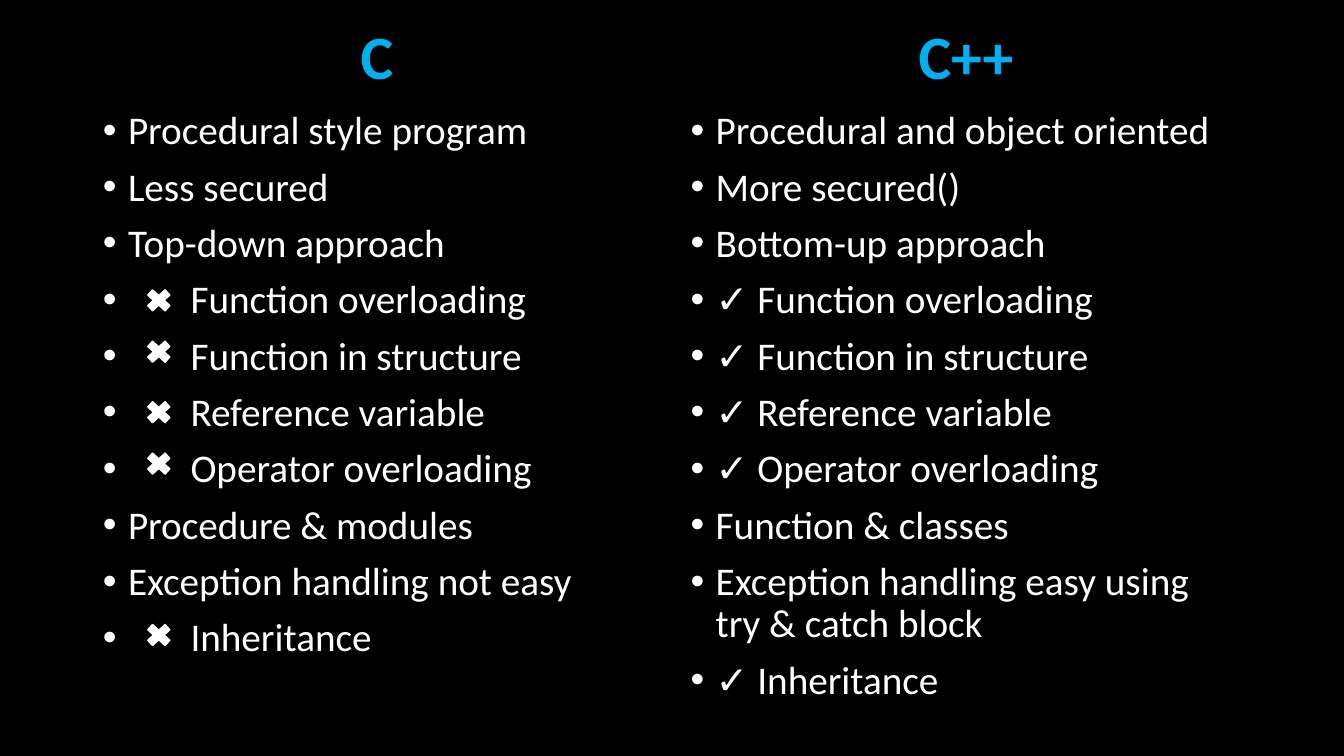
from pptx import Presentation
from pptx import util as u
from pptx.dml.color import RGBColor
from pptx.enum import shapes, text
from pptx.oxml import parse_xml
from pptx.oxml.ns import nsdecls

BLACK = RGBColor(0x00, 0x00, 0x00)
WHITE = RGBColor(0xFF, 0xFF, 0xFF)
BLUE = RGBColor(0x00, 0xB0, 0xF0)
FONT = "Calibri"

# Lengths are percentages of the slide's width or height
HEADING_TOP, HEADING_HEIGHT = 2.27, 10.67
LIST_TOP, LIST_HEIGHT = 14, 83.87
CROSS_OFFSET, CROSS_WIDTH, CROSS_HEIGHT = 3.68, 2.48, 4
BULLET_HANG = u.Inches(0.25)
CROSSED_HANG = u.Inches(0.87)  # leaves room for a cross before the words

C_POINTS = [
    "Procedural style program", "Less secured", "Top-down approach",
    "Function overloading", "Function in structure", "Reference variable",
    "Operator overloading", "Procedure & modules",
    "Exception handling not easy", "Inheritance",
]
# Missing features of C, with the top of each cross
C_CROSSES = {
    "Function overloading": 37.73, "Function in structure": 44.53,
    "Reference variable": 52.53, "Operator overloading": 59.33,
    "Inheritance": 82,
}
CPP_POINTS = [
    "Procedural and object oriented", "More secured()", "Bottom-up approach",
    "✓ Function overloading", "✓ Function in structure",
    "✓ Reference variable", "✓ Operator overloading", "Function & classes",
    "Exception handling easy using try & catch block", "✓ Inheritance",
]

deck = Presentation()
deck.slide_width, deck.slide_height = u.Inches(13.33), u.Inches(7.5)


def place(shape, left, top, width, height):
    shape.left = int(deck.slide_width * left / 100)
    shape.top = int(deck.slide_height * top / 100)
    shape.width = int(deck.slide_width * width / 100)
    shape.height = int(deck.slide_height * height / 100)


def write(shape, lines, size, color, bold, anchor, align):
    frame = shape.text_frame
    frame.text = "\n".join(lines)
    frame.word_wrap = True
    frame.auto_size = text.MSO_AUTO_SIZE.NONE
    frame.vertical_anchor = anchor
    for para in frame.paragraphs:
        para.alignment = align
        para.line_spacing = 0.9
        para.space_before = u.Pt(10)
        for span in para.runs:
            span.font.name, span.font.size = FONT, u.Pt(size)
            span.font.bold, span.font.color.rgb = bold, color
    return frame.paragraphs


def add_bullet(para, hang):
    props = para._p.get_or_add_pPr()
    props.set("marL", str(hang))
    props.set("indent", str(-hang))
    props.append(parse_xml(f'<a:buFont {nsdecls("a")} typeface="Arial"/>'))
    props.append(parse_xml(f'<a:buChar {nsdecls("a")} char="•"/>'))


def add_cross(page, left, top):
    cross = page.shapes.add_shape(shapes.MSO_SHAPE.MATH_MULTIPLY, 0, 0, 0, 0)
    place(cross, left, top, CROSS_WIDTH, CROSS_HEIGHT)
    cross.shadow.inherit = False
    cross.fill.solid()
    cross.fill.fore_color.rgb = WHITE
    cross.line.color.rgb = WHITE
    cross.line.width = u.Pt(1)


def fill_column(page, heading, body, left, width, name, points, crosses):
    # Language name
    place(heading, left, HEADING_TOP, width, HEADING_HEIGHT)
    write(heading, [name], 44, BLUE, True,
          text.MSO_ANCHOR.BOTTOM, text.PP_ALIGN.CENTER)

    # Bulleted points
    place(body, left, LIST_TOP, width, LIST_HEIGHT)
    paras = write(body, points, 28, WHITE, False,
                  text.MSO_ANCHOR.TOP, text.PP_ALIGN.LEFT)
    for para, point in zip(paras, points):
        add_bullet(para, CROSSED_HANG if point in crosses else BULLET_HANG)

    # Crosses beside missing features
    for top in crosses.values():
        add_cross(page, left + CROSS_OFFSET, top)


def build_comparison():
    page = deck.slides.add_slide(deck.slide_layouts.get_by_name("Comparison"))
    page.background.fill.solid()
    page.background.fill.fore_color.rgb = BLACK
    title, c_name, c_list, cpp_name, cpp_list = page.placeholders
    title.element.getparent().remove(title.element)
    fill_column(page, c_name, c_list, 6.9, 42.3, "C", C_POINTS, C_CROSSES)
    fill_column(page, cpp_name, cpp_list, 50.63, 42.5, "C++", CPP_POINTS, {})


build_comparison()
deck.save("out.pptx")
